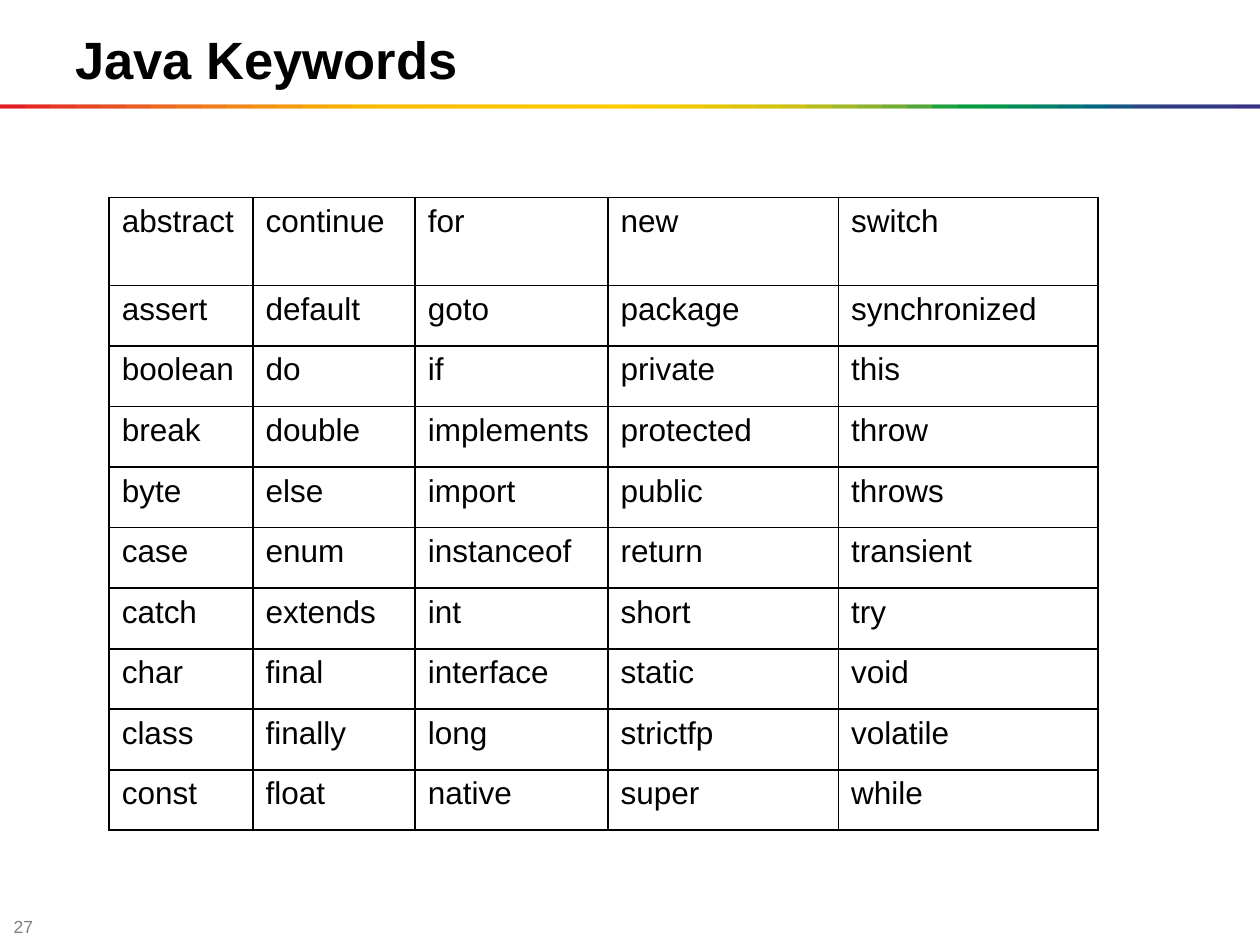
from lxml import etree
from pptx import Presentation
from pptx import util as u
from pptx.dml.color import RGBColor
from pptx.enum import shapes, text
from pptx.oxml.ns import qn

COLOURS = {
    "ink": "000000",
    "paper": "FFFFFF",
    "page_number": "7F7F7F",
    "rainbow": """
        E31E24 E31E24 E42C24 E53A24 E74623 E85122 EA5D21 EC691F EE741D EF7E1A
        F18817 F39314 F49C0F F6A607 F8B002 FBBA00 FBBB00 FBBD00 FCBF00 FCC000
        FCC200 FDC400 FDC600 FDC700 FEC900 FECB00 FBCB00 F3CA00 ECC800 E4C602
        DCC50A D5C30E CCC117 B8BC21 A3B829 8CB230 71AD36 51A73B 1DA240 009D43
        009846 008C57 008068 007275 00637F 185384 2E4285 313E85 333B85 353885
        393185""".split(),
}

SLIDE_WIDTH, SLIDE_HEIGHT = 720, 540

KEYWORDS = [line.split() for line in """
abstract continue for new switch
assert default goto package synchronized
boolean do if private this
break double implements protected throw
byte else import public throws
case enum instanceof return transient
catch extends int short try
char final interface static void
class finally long strictfp volatile
const float native super while
""".strip().splitlines()]


class KeywordSlide:
    font_name = "Arial"
    border_width = 1.08

    def __init__(self, slide):
        self.slide = slide

    def style(self, paragraph, size, colour="ink", bold=False):
        formats = {"name": self.font_name, "size": u.Pt(size), "bold": bold}
        for attribute, value in formats.items():
            setattr(paragraph.font, attribute, value)
        paragraph.font.color.rgb = RGBColor.from_string(COLOURS[colour])

    def label(self, words, left, top, width, height, size, **look):
        box = self.slide.shapes.add_textbox(*map(u.Pt, (left, top, width, height)))
        frame = box.text_frame
        formats = {"word_wrap": True, "vertical_anchor": text.MSO_ANCHOR.MIDDLE}
        for attribute, value in formats.items():
            setattr(frame, attribute, value)
        frame.text = words
        self.style(frame.paragraphs[0], size, **look)

    def rainbow(self, top, height, step):
        """Overlapping bands two steps wide, clipped to the slide's edges."""
        bands = self.slide.shapes.add_group_shape().shapes
        for index, colour in enumerate(COLOURS["rainbow"]):
            start = (index - 1) * step
            left, right = max(start, 0), min(start + 2 * step, SLIDE_WIDTH)
            band = bands.add_shape(shapes.MSO_SHAPE.RECTANGLE,
                                   *map(u.Pt, (left, top, right - left, height)))
            band.shadow.inherit = False
            band.fill.solid()
            band.fill.fore_color.rgb = RGBColor.from_string(colour)
            band.line.fill.background()

    def border(self, cell):
        properties = cell._tc.get_or_add_tcPr()
        for side in ("a:lnL", "a:lnR", "a:lnT", "a:lnB"):
            line = etree.SubElement(properties, qn(side),
                                    w=str(u.Pt(self.border_width)))
            fill = etree.SubElement(line, qn("a:solidFill"))
            etree.SubElement(fill, qn("a:srgbClr"), val=COLOURS["ink"])

    def table(self, rows, left, top, widths, heights, size):
        grid = self.slide.shapes.add_table(
            len(rows), len(widths),
            *map(u.Pt, (left, top, sum(widths), sum(heights)))).table
        for flag in ("first_row", "horz_banding"):
            setattr(grid, flag, False)
        for column, width in zip(grid.columns, widths):
            column.width = u.Pt(width)
        for row, height, words in zip(grid.rows, heights, rows):
            row.height = u.Pt(height)
            for cell, word in zip(row.cells, words):
                cell.text = word
                self.style(cell.text_frame.paragraphs[0], size)
                self.border(cell)
                cell.fill.solid()
                cell.fill.fore_color.rgb = RGBColor.from_string(COLOURS["paper"])


def main():
    deck = Presentation()
    deck.slide_width, deck.slide_height = u.Pt(SLIDE_WIDTH), u.Pt(SLIDE_HEIGHT)
    page = KeywordSlide(deck.slides.add_slide(deck.slide_layouts[6]))

    # Page number and rainbow rule
    page.label("27", 0.7, 523.5, 28, 11.5, size=10, colour="page_number")
    page.rainbow(top=59.8, height=2.2, step=14.4)

    # Title
    page.label("Java Keywords", 36, 11.5, 648, 44, size=30, bold=True)

    # Keyword table, with a taller first row
    page.table(KEYWORDS, left=62.4, top=112.8,
               widths=[82.2, 92.7, 110.2, 131.8, 148.3],
               heights=[50.4] + [34.6] * (len(KEYWORDS) - 1), size=18)

    deck.save("out.pptx")


if __name__ == "__main__":
    main()
